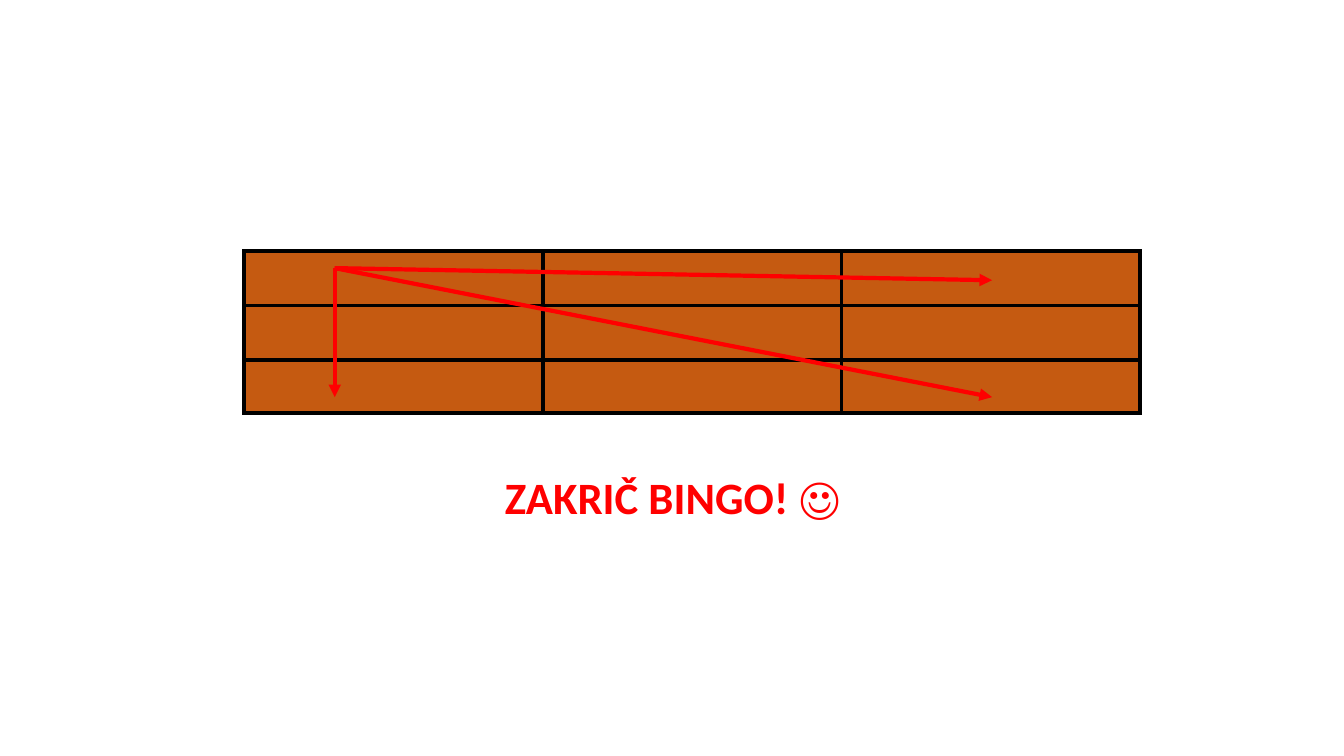
from dataclasses import dataclass

from lxml.etree import SubElement
from pptx import Presentation
from pptx.dml.color import RGBColor
from pptx.enum.shapes import MSO_CONNECTOR
from pptx.enum.text import MSO_ANCHOR, MSO_AUTO_SIZE, PP_ALIGN
from pptx.oxml.ns import qn
from pptx.util import Inches, Pt


@dataclass(frozen=True)
class Theme:
    cell: RGBColor = RGBColor(0xC5, 0x5A, 0x11)
    border: RGBColor = RGBColor(0, 0, 0)
    accent: RGBColor = RGBColor(0xFF, 0, 0)
    font: str = "Calibri"
    text_size: int = 32
    line_width: int = 3


THEME = Theme()


def set_borders(cell):
    properties = cell._tc.get_or_add_tcPr()
    for index, side in enumerate(("lnL", "lnR", "lnT", "lnB")):
        line = properties.makeelement(qn(f"a:{side}"), {"w": str(Pt(THEME.line_width))})
        fill = SubElement(line, qn("a:solidFill"))
        SubElement(fill, qn("a:srgbClr"), val=str(THEME.border))
        properties.insert(index, line)


def add_bingo_grid(slide, left, top, width, row_heights, column_count):
    frame = slide.shapes.add_table(
        len(row_heights), column_count,
        Inches(left), Inches(top), Inches(width), Inches(sum(row_heights)),
    )
    table = frame.table
    table.first_row = False
    table.horz_banding = False
    for row, height in zip(table.rows, row_heights):
        row.height = Inches(height)
    for cell in table.iter_cells():
        cell.fill.solid()
        cell.fill.fore_color.rgb = THEME.cell
        set_borders(cell)


def add_arrow(slide, start, end):
    arrow = slide.shapes.add_connector(
        MSO_CONNECTOR.STRAIGHT, *(Inches(value) for value in (*start, *end))
    )
    arrow.line.color.rgb = THEME.accent
    arrow.line.width = Pt(THEME.line_width)
    SubElement(arrow.line._get_or_add_ln(), qn("a:tailEnd"), type="triangle")
    SubElement(arrow._element.spPr, qn("a:effectLst"))


def fill_subtitle(subtitle, text, left, top, width, height):
    subtitle.left, subtitle.top = Inches(left), Inches(top)
    subtitle.width, subtitle.height = Inches(width), Inches(height)
    frame = subtitle.text_frame
    frame.word_wrap = True
    frame.auto_size = MSO_AUTO_SIZE.NONE
    frame.vertical_anchor = MSO_ANCHOR.TOP
    frame.margin_left = frame.margin_right = Inches(0.1)
    frame.margin_top = frame.margin_bottom = Inches(0.1)
    paragraph = frame.paragraphs[0]
    paragraph.alignment = PP_ALIGN.CENTER
    paragraph.space_before = Pt(0)
    run = paragraph.add_run()
    run.text = text
    run.font.name = THEME.font
    run.font.size = Pt(THEME.text_size)
    run.font.bold = True
    run.font.color.rgb = THEME.accent


def main():
    presentation = Presentation()
    presentation.slide_width = Inches(13.33)
    presentation.slide_height = Inches(7.5)
    slide = presentation.slides.add_slide(presentation.slide_layouts[0])
    title = slide.shapes.title._element
    title.getparent().remove(title)

    add_bingo_grid(slide, 2.42, 2.49, 8.89, (0.54, 0.54, 0.53), 3)
    fill_subtitle(slide.placeholders[1], "ZAKRIČ BINGO! ☺", 2.67, 4.56, 8, 0.99)
    first_cell = (3.32, 2.66)
    for target in ((9.84, 3.94), (3.32, 3.94), (9.84, 2.78)):
        add_arrow(slide, first_cell, target)

    presentation.save("out.pptx")


if __name__ == "__main__":
    main()
